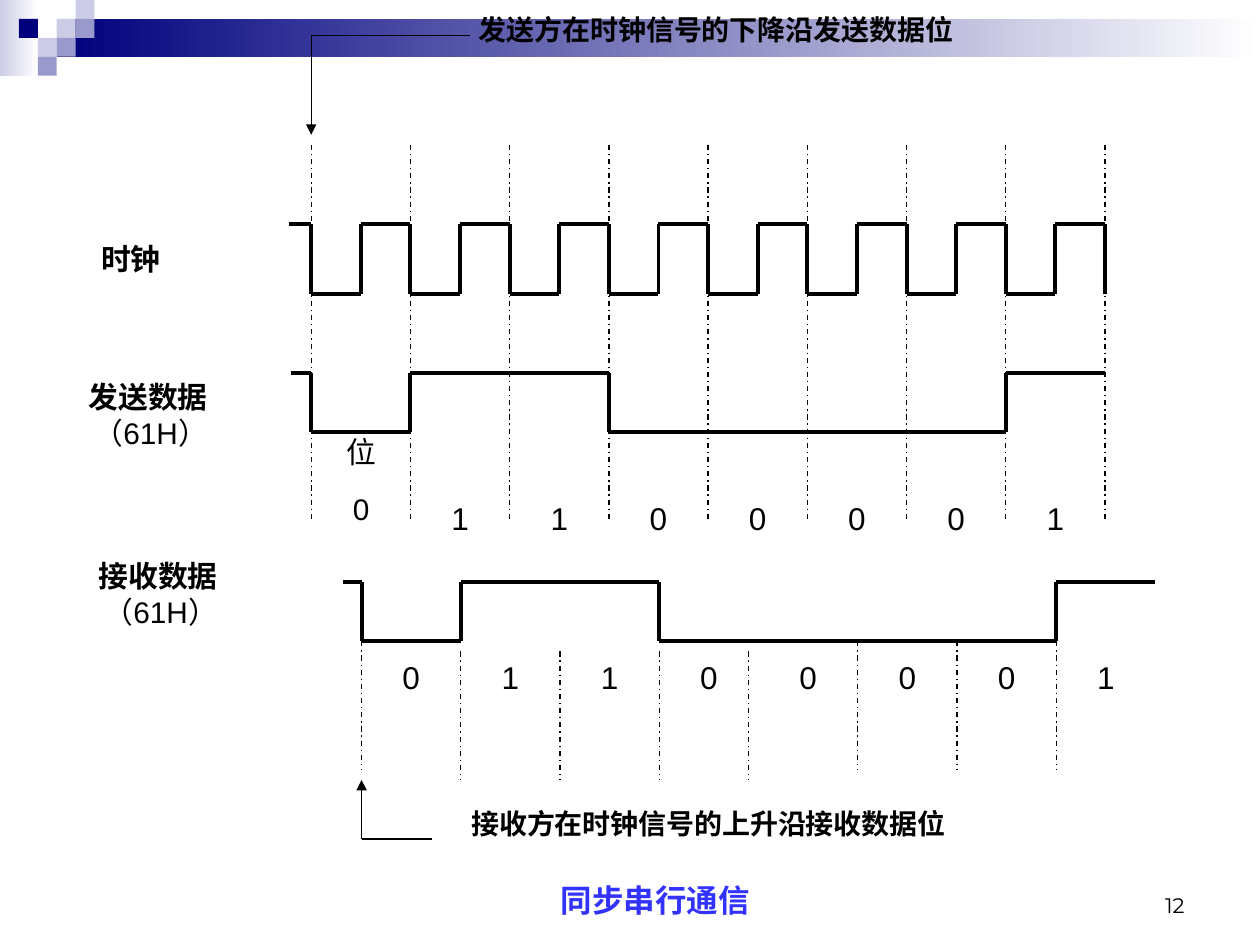
from itertools import groupby, pairwise

from lxml.etree import SubElement
from pptx import Presentation
from pptx.dml.color import RGBColor as RGB
from pptx.enum.dml import MSO_LINE as Dash
from pptx.enum.shapes import MSO_CONNECTOR as Link, MSO_SHAPE as Kind
from pptx.enum.text import MSO_ANCHOR as Anchor, MSO_AUTO_SIZE as Fit, PP_ALIGN as Align
from pptx.oxml.ns import qn
from pptx.util import Inches, Pt

COLS, ROWS = 100, 75
BLACK = RGB(0, 0, 0)
WHITE = RGB(255, 255, 255)
NAVY = RGB(0x00, 0x00, 0x7D)
LILAC = RGB(0xCC, 0xCC, 0xE6)
MAUVE = RGB(0x99, 0x99, 0xCC)
BLUE = RGB(0x33, 0x33, 0xFF)
BITS = "01100001"
STEP = 7.875


def grid(*marks):
    return [Inches(mark / 10) for mark in marks]


def text(slide, box, *paras, shape=None, size=17, font="Arial", color=BLACK,
         align=Align.CENTER, anchor=Anchor.TOP, inset=0.0, gap=0):
    shape = shape or slide.shapes.add_textbox(0, 0, 0, 0)
    shape.left, shape.top, shape.width, shape.height = grid(*box)
    frame = shape.text_frame
    frame.auto_size = Fit.NONE
    frame.word_wrap = True
    frame.vertical_anchor = anchor
    frame.margin_left = frame.margin_right = Inches(inset)
    frame.margin_top = frame.margin_bottom = Inches(0.05)
    for i, runs in enumerate(paras):
        para = frame.add_paragraph() if i else frame.paragraphs[0]
        para.alignment = align
        para.space_before = Pt(gap if i else 0)
        for words, bold in runs:
            run = para.add_run()
            run.text = words
            run.font.size = Pt(size)
            run.font.name = font
            run.font.bold = bold
            run.font.color.rgb = color


def line(slide, start, end, width=0.75, dash=None, arrow=False):
    link = slide.shapes.add_connector(Link.STRAIGHT, *grid(*start, *end))
    link.line.color.rgb = BLACK
    link.line.width = Pt(width)
    if dash:
        link.line.dash_style = dash
    if arrow:
        SubElement(link.line._ln, qn("a:tailEnd"), type="triangle")
    SubElement(link._element.spPr, qn("a:effectLst"))


def rect(slide, box, color, fade=False):
    shape = slide.shapes.add_shape(Kind.RECTANGLE, *grid(*box))
    shape.shadow.inherit = False
    shape.line.fill.background()
    if fade:
        shape.fill.gradient()
        shape.fill.gradient_angle = 0
        for stop, tone in zip(shape.fill.gradient_stops, (color, WHITE)):
            stop.color.rgb = tone
    else:
        shape.fill.solid()
        shape.fill.fore_color.rgb = color


def banner(slide, box):
    x, y, w, h = box
    unit = h / 4
    rect(slide, (x, y, 2 * unit, h), LILAC, fade=True)
    rect(slide, (x + 3 * unit, y + unit, w - 3 * unit, 2 * unit), NAVY, fade=True)
    tiles = [(3, 1, LILAC), (4, 0, LILAC), (4, 1, MAUVE), (2, 2, LILAC),
             (1, 1, NAVY), (3, 2, MAUVE), (2, 3, MAUVE)]
    for col, row, color in tiles:
        rect(slide, (x + col * unit, y + row * unit, unit, unit), color)


def wave(slide, box, bits, lead, fall=False):
    x, y, w, h = box
    step = w / len(bits)
    dots = [(x - lead, y), (x, y)]
    for bit, run in groupby(bits):
        level = y if bit == "1" else y + h
        left = dots[-1][0]
        dots += [(left, level), (left + step * len(list(run)), level)]
    if fall:
        dots.append((x + w, y + h))
    for start, end in pairwise(dots):
        line(slide, start, end, width=2.25)


def digits(slide, box, first=0):
    x, y, w, h = box
    step = w / len(BITS)
    for i, bit in enumerate(BITS[first:], first):
        text(slide, (x + i * step + (step - 4.7) / 2, y, 4.7, h),
             [(bit, False)], size=18, inset=0.1)


def label(slide, box, name):
    text(slide, box, [(name, True), ("（61H）", False)], align=Align.RIGHT)


def send(slide, box):
    x, y, w, h = box
    wave(slide, (x, y + 6.3, w, 5.5), "01" * len(BITS), 1.8, fall=True)
    wave(slide, (x, y + 18.1, w, 4.7), BITS, 1.6)
    for i in range(len(BITS) + 1):
        edge = x + i * STEP
        line(slide, (edge, y), (edge, y + h), dash=Dash.DASH_DOT)
    text(slide, (5.7, y + 7.1, 9.4, 3.9), [("时钟", True)])
    label(slide, (3.5, y + 18.1, 13, 6.9), "发送数据")
    text(slide, (x + 2, y + 22.4, 3.9, 8.3),
         [("位", False)], [(BITS[0], False)], gap=12.5)
    digits(slide, (x, y + 27.6, w, 4), first=1)
    text(slide, (38, 0.5, 52.9, 3.9),
         [("发送方在时钟信号的下降沿发送数据位", True)], size=16, align=Align.LEFT)
    line(slide, (x + 12.6, 2.8), (x, 2.8))
    line(slide, (x, 2.8), (x, y - 0.8), arrow=True)


def receive(slide, box):
    x, y, w, h = box
    wave(slide, (x, y, w, 4.7), BITS, 1.5)
    label(slide, (4.3, y - 2.4, 13, 6.9), "接收数据")
    digits(slide, (x, y + 5.5, w, 4))
    for i in range(len(BITS)):
        edge = x + i * STEP - (0.8 if i == 4 else 0)
        top = y + (5.5 if 1 <= i <= 4 else 4.7)
        line(slide, (edge, top), (edge, top + 10.2), dash=Dash.DASH_DOT)
    line(slide, (x + 5.6, y + h), (x, y + h))
    line(slide, (x, y + h), (x, y + 15.7), arrow=True)
    text(slide, (37.4, y + 17.3, 52.8, 4),
         [("接收方在时钟信号的上升沿接收数据位", True)], size=16, align=Align.LEFT)


def main():
    deck = Presentation()
    deck.slide_width, deck.slide_height = grid(COLS, ROWS)
    slide = deck.slides.add_slide(deck.slide_layouts[5])
    banner(slide, (0, 0, COLS, 6))
    send(slide, (24.7, 11.5, STEP * len(BITS), 29.9))
    receive(slide, (28.7, 46.2, STEP * len(BITS), 20.4))
    text(slide, (40.2, 69.4, 23.6, 4), [("同步串行通信", True)],
         shape=slide.shapes.title, size=18, font="Roboto", color=BLUE, inset=0.1)
    text(slide, (71.7, 68.3, 23.3, 5), [("12", False)], size=12,
         font="Montserrat", align=Align.RIGHT, anchor=Anchor.BOTTOM, inset=0.1)
    deck.save("out.pptx")


if __name__ == "__main__":
    main()
